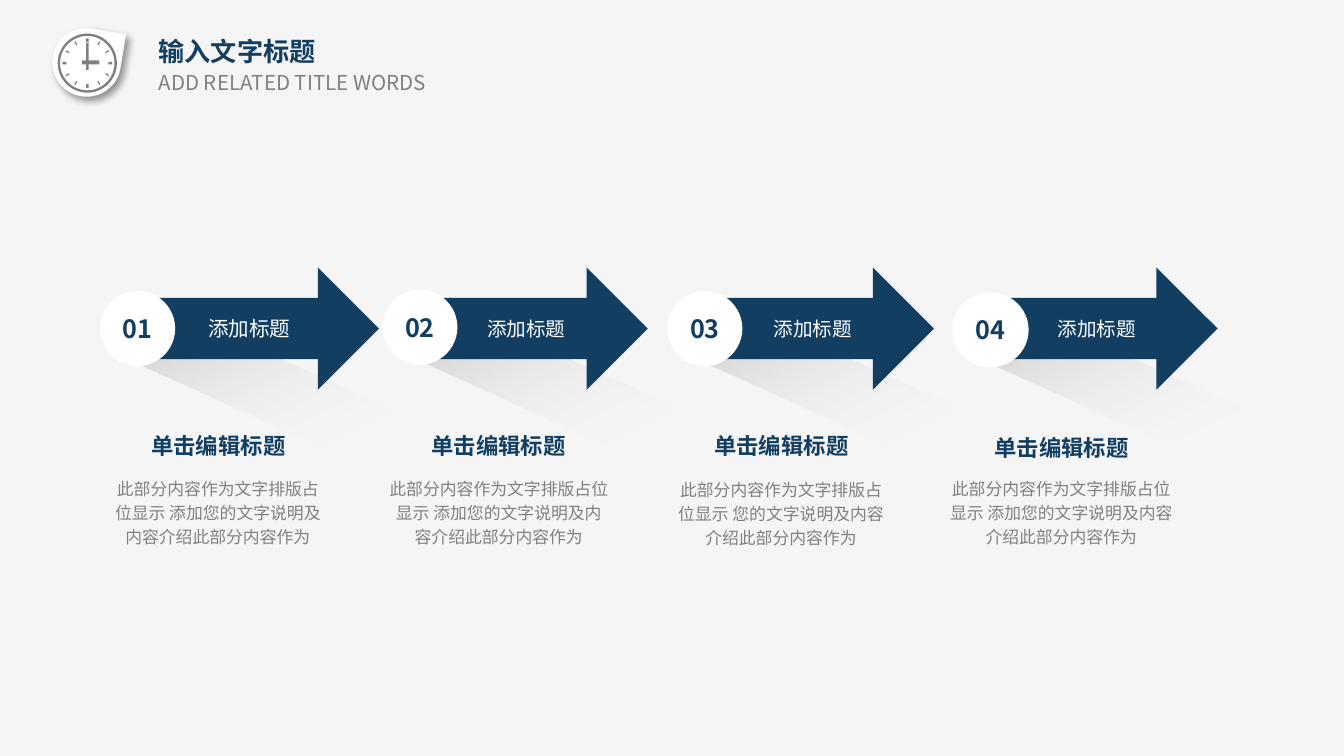
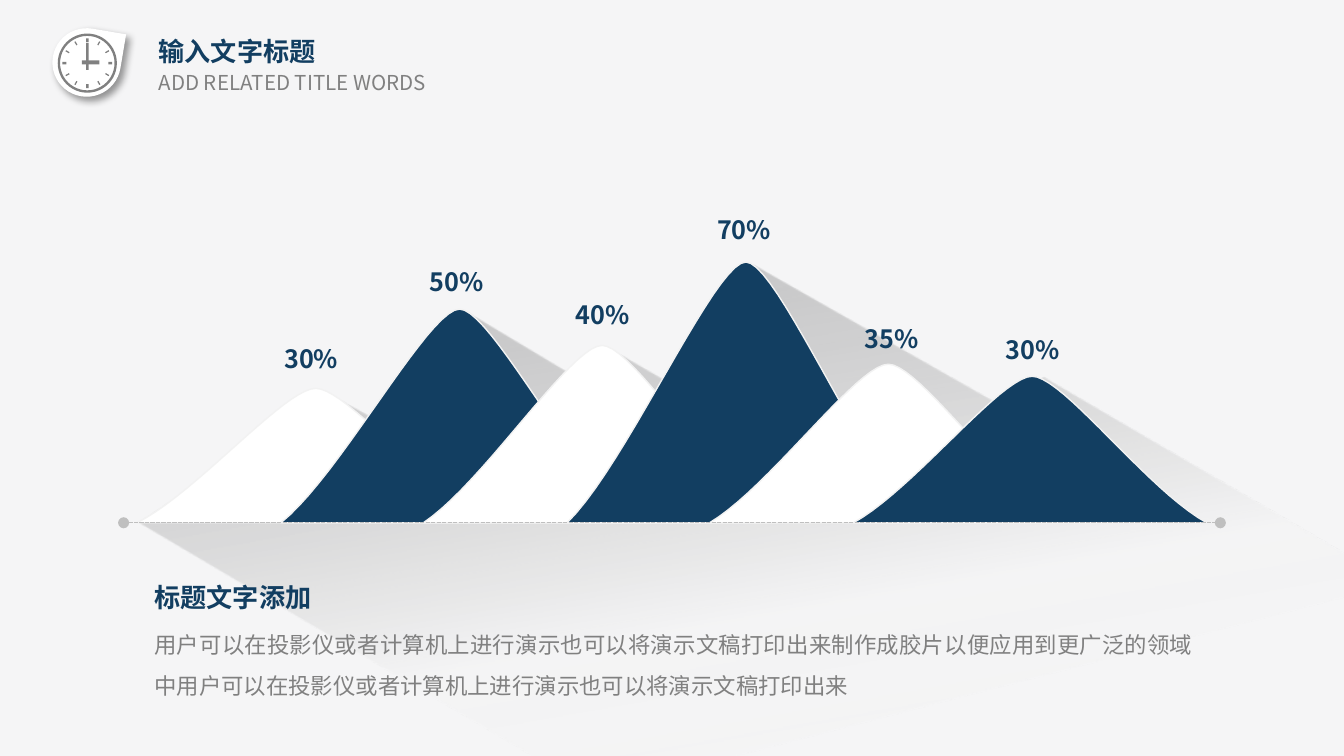
"""Build two slides: a row of four arrow steps and a range of six peaks."""
from dataclasses import dataclass
from math import cos, radians, sin
from typing import Any, NamedTuple

from pptx import Presentation
from pptx.dml.color import RGBColor
from pptx.enum.dml import MSO_LINE
from pptx.enum.shapes import MSO_CONNECTOR, MSO_SHAPE
from pptx.enum.text import MSO_ANCHOR, MSO_AUTO_SIZE, PP_ALIGN
from pptx.oxml import parse_xml
from pptx.oxml.ns import nsdecls, qn
from pptx.oxml.xmlchemy import OxmlElement
from pptx.util import Pt

PX = 9144
WIDE = 1000 * PX
HIGH = WIDE * 9 // 16
FONT = "Noto Sans CJK SC"
NAVY = RGBColor(0x12, 0x3E, 0x61)
GREY = RGBColor(0x80, 0x80, 0x80)
SILVER = RGBColor(0xBF, 0xBF, 0xBF)
PALE = RGBColor(0xF2, 0xF2, 0xF2)
PAPER = RGBColor(0xF5, 0xF5, 0xF6)
WHITE = RGBColor(0xFF, 0xFF, 0xFF)
BLACK = RGBColor(0, 0, 0)
BLUE = RGBColor(0x28, 0x89, 0xD6)

LEFT, MID, JUST = PP_ALIGN.LEFT, PP_ALIGN.CENTER, PP_ALIGN.JUSTIFY
INSET = (10, 5, 10, 5)
GROUND = 389
CLOCK = (65, 47)


class Box(NamedTuple):
    left: int
    top: int
    width: int
    height: int


class Stop(NamedTuple):
    place: int
    color: RGBColor
    alpha: int


@dataclass(frozen=True)
class Style:
    size: float
    color: RGBColor
    bold: bool = False
    align: Any = MID
    pitch: float = 1.0


class Step(NamedTuple):
    number: str
    arrow: Box
    size: float
    ball: Box
    shade: Box
    head: Box
    body: Box
    words: str


class Peak(NamedTuple):
    label: str
    top: int
    color: RGBColor
    left: int
    above: int


TITLE = Style(14, NAVY, True, LEFT)
TAG = Style(11, GREY, align=JUST)
NUMBER = Style(13.5, NAVY, True)
HEAD = Style(12, NAVY, True)
BODY = Style(9, GREY, pitch=1.2)
LABEL = Style(13.5, NAVY, True, pitch=1.2)
TOPIC = Style(14, NAVY, True, LEFT, 1.2)
NOTE = Style(12, GREY, align=JUST, pitch=1.5)

WORDS = "此部分内容作为文字排版占位显示 添加您的文字说明及内容介绍此部分内容作为"
SHORT = "此部分内容作为文字排版占位显示 您的文字说明及内容介绍此部分内容作为"
STORY = ("用户可以在投影仪或者计算机上进行演示也可以将演示文稿打印出来制作成胶片以便应用到更广泛的领域"
         "中用户可以在投影仪或者计算机上进行演示也可以将演示文稿打印出来")

STEPS = [
    Step("01", Box(89, 199, 193, 91), 11, Box(76, 218, 53, 53), Box(80, 303, 407, 47),
         Box(74, 317, 177, 30), Box(73, 348, 178, 65), WORDS),
    Step("02", Box(301, 199, 181, 91), 10.5, Box(286, 217, 53, 53), Box(291, 301, 407, 47),
         Box(276, 317, 190, 30), Box(279, 348, 184, 65), WORDS),
    Step("03", Box(514, 199, 181, 91), 10.5, Box(498, 218, 53, 53), Box(500, 301, 407, 47),
         Box(490, 317, 183, 30), Box(490, 349, 182, 65), SHORT),
    Step("04", Box(726, 199, 180, 91), 10.5, Box(710, 219, 54, 53), Box(711, 301, 407, 47),
         Box(700, 318, 180, 30), Box(697, 348, 185, 65), WORDS),
]
PEAKS = [
    Peak("30%", 289, WHITE, 194, 246),
    Peak("50%", 230, NAVY, 302, 189),
    Peak("40%", 257, WHITE, 411, 213),
    Peak("70%", 195, NAVY, 516, 150),
    Peak("35%", 271, WHITE, 626, 231),
    Peak("30%", 280, NAVY, 731, 239),
]
SHADE = [Stop(0, BLUE, 54), Stop(0, SILVER, 100), Stop(54, WHITE, 0)]
DUSK = [Stop(0, BLACK, 20), Stop(61, PALE, 34), Stop(100, PALE, 0)]
CAST = [(1045, 438), (1045, 432), (443, 589), (104, 389), (246, 294), (320, 334),
        (347, 232), (439, 287), (458, 262), (517, 296), (560, 197), (745, 302), (777, 281)]


def scale(*sides: float) -> list[int]:
    return [round(side * PX) for side in sides]


def assign(item: Any, values: dict[str, Any]) -> None:
    for key, value in values.items():
        setattr(item, key, value)


def write(shape: Any, text: str, style: Style, inset: tuple = INSET,
          anchor: Any = MSO_ANCHOR.TOP, fit: Any = MSO_AUTO_SIZE.SHAPE_TO_FIT_TEXT) -> None:
    frame = shape.text_frame
    sides = ("margin_left", "margin_top", "margin_right", "margin_bottom")
    assign(frame, {"word_wrap": True, "auto_size": fit, "vertical_anchor": anchor,
                   **dict(zip(sides, scale(*inset)))})
    para = frame.paragraphs[0]
    assign(para, {"alignment": style.align, "line_spacing": style.pitch, "space_before": Pt(0)})
    run = para.add_run()
    run.text = text
    assign(run.font, {"name": FONT, "size": Pt(style.size), "bold": style.bold})
    run.font.color.rgb = style.color
    east = OxmlElement("a:ea")
    east.set("typeface", FONT)
    run.font._element.append(east)


def label(slide: Any, box: Box, text: str, style: Style) -> None:
    write(slide.shapes.add_textbox(*scale(*box)), text, style)


def paint(shape: Any, color: RGBColor, edge: RGBColor | None = None, width: float = 0) -> None:
    shape.shadow.inherit = False
    shape.fill.solid()
    shape.fill.fore_color.rgb = color
    if edge is None:
        shape.line.fill.background()
    else:
        shape.line.color.rgb = edge
        shape.line.width = Pt(width)


def draw(slide: Any, kind: Any, box: tuple, color: RGBColor, turn: float = 0) -> Any:
    shape = slide.shapes.add_shape(kind, *scale(*box))
    shape.rotation = turn
    paint(shape, color)
    return shape


def blend(shape: Any, stops: list[Stop], angle: int) -> None:
    marks = "".join(
        f'<a:gs pos="{stop.place * 1000}"><a:srgbClr val="{stop.color}">'
        f'<a:alpha val="{stop.alpha * 1000}"/></a:srgbClr></a:gs>' for stop in stops)
    grad = parse_xml(f'<a:gradFill {nsdecls("a")} rotWithShape="1"><a:gsLst>{marks}</a:gsLst>'
                     f'<a:lin ang="{angle * 60000}" scaled="0"/></a:gradFill>')
    props = shape.element.spPr
    props.replace(props.find(qn("a:solidFill")), grad)


def outline(slide: Any, points: list[tuple]) -> Any:
    first, *rest = [scale(*point) for point in points]
    pen = slide.shapes.build_freeform(*first)
    pen.add_line_segments(rest, close=True)
    return pen.convert_to_shape()


def curve(ends: list[tuple], count: int = 20) -> list[tuple]:
    spots = []
    for part in range(count + 1):
        t = part / count
        mix = ((1 - t) ** 3, 3 * t * (1 - t) ** 2, 3 * t * t * (1 - t), t ** 3)
        spots.append(tuple(sum(m * end[axis] for m, end in zip(mix, ends)) for axis in (0, 1)))
    return spots


def clock(slide: Any) -> None:
    drop = draw(slide, MSO_SHAPE.TEAR, (39, 21, 51, 51), WHITE, 9.5)
    drop.element.spPr.find(qn("a:effectLst")).append(parse_xml(
        f'<a:outerShdw {nsdecls("a")} blurRad="{Pt(4)}" dist="{Pt(3)}" dir="2700000" algn="tl" '
        f'rotWithShape="0"><a:srgbClr val="{BLACK}"><a:alpha val="40000"/></a:srgbClr>'
        '</a:outerShdw>'))
    ring = draw(slide, MSO_SHAPE.DONUT, (43, 25, 44, 44), GREY)
    ring.adjustments[0] = 0.04
    for hour in range(12):
        turn = hour * 30
        wide = 1 if hour % 3 else 2
        x = CLOCK[0] + 17 * sin(radians(turn))
        y = CLOCK[1] - 17 * cos(radians(turn))
        draw(slide, MSO_SHAPE.RECTANGLE, (x - wide / 2, y - 1.5, wide, 3), GREY, turn)
    for hand in (Box(64, 32, 2, 20), Box(61, 45, 13, 3)):
        draw(slide, MSO_SHAPE.RECTANGLE, hand, GREY)


def start(deck: Any) -> Any:
    slide = deck.slides.add_slide(deck.slide_layouts[5])
    slide.background.fill.solid()
    slide.background.fill.fore_color.rgb = PAPER
    title = slide.shapes.title
    assign(title, dict(zip(("left", "top", "width", "height"), scale(112, 23, 215, 29))))
    write(title, "输入文字标题", TITLE, (6, 3, 6, 3))
    tag = slide.shapes.add_textbox(*scale(107, 47, 252, 29))
    write(tag, "ADD RELATED TITLE WORDS", TAG, (11, 5, 11, 5))
    clock(slide)
    return slide


def arrows(deck: Any) -> None:
    slide = start(deck)
    for step in STEPS:
        blend(draw(slide, MSO_SHAPE.RECTANGLE, step.shade, SILVER, 24.2), SHADE, 40)
    for step in STEPS:
        arrow = draw(slide, MSO_SHAPE.RIGHT_ARROW, step.arrow, NAVY)
        write(arrow, "添加标题", Style(step.size, WHITE), (44, 0, 21, 0),
              MSO_ANCHOR.MIDDLE, MSO_AUTO_SIZE.NONE)
        ball = draw(slide, MSO_SHAPE.OVAL, step.ball, WHITE)
        paint(ball, WHITE, WHITE, 2)
        write(ball, step.number, NUMBER, (0, 0, 0, 0), MSO_ANCHOR.MIDDLE, MSO_AUTO_SIZE.NONE)
        label(slide, step.head, "单击编辑标题", HEAD)
        label(slide, step.body, step.words, BODY)


def peaks(deck: Any) -> None:
    slide = start(deck)
    cast = outline(slide, CAST)
    paint(cast, BLACK)
    blend(cast, DUSK, 80)
    for index, peak in enumerate(PEAKS):
        left = 102 + round(533 * index / 5)
        foot = GROUND - 0.22 * (GROUND - peak.top)
        rise = curve([(left, GROUND), (left + 44, foot), (left + 110, peak.top),
                      (left + 133, peak.top)])
        fall = curve([(left + 133, peak.top), (left + 156, peak.top), (left + 219, foot),
                      (left + 263, GROUND)])
        paint(outline(slide, rise + fall[1:]), peak.color, PALE, 0.75)
    base = slide.shapes.add_connector(MSO_CONNECTOR.STRAIGHT, *scale(92, GROUND, 908, GROUND))
    base.line.color.rgb = SILVER
    assign(base.line, {"width": Pt(0.75), "dash_style": MSO_LINE.SQUARE_DOT})
    for name in ("a:headEnd", "a:tailEnd"):
        end = OxmlElement(name)
        end.set("type", "oval")
        base.line._ln.append(end)
    base.element.spPr.append(OxmlElement("a:effectLst"))
    for peak in PEAKS:
        label(slide, Box(peak.left, peak.above, 75, 35), peak.label, LABEL)
    label(slide, Box(105, 423, 184, 36), "标题文字添加", TOPIC)
    label(slide, Box(105, 455, 793, 67), STORY, NOTE)


def main() -> None:
    deck = Presentation()
    assign(deck, {"slide_width": WIDE, "slide_height": HIGH})
    arrows(deck)
    peaks(deck)
    deck.save("out.pptx")


if __name__ == "__main__":
    main()
